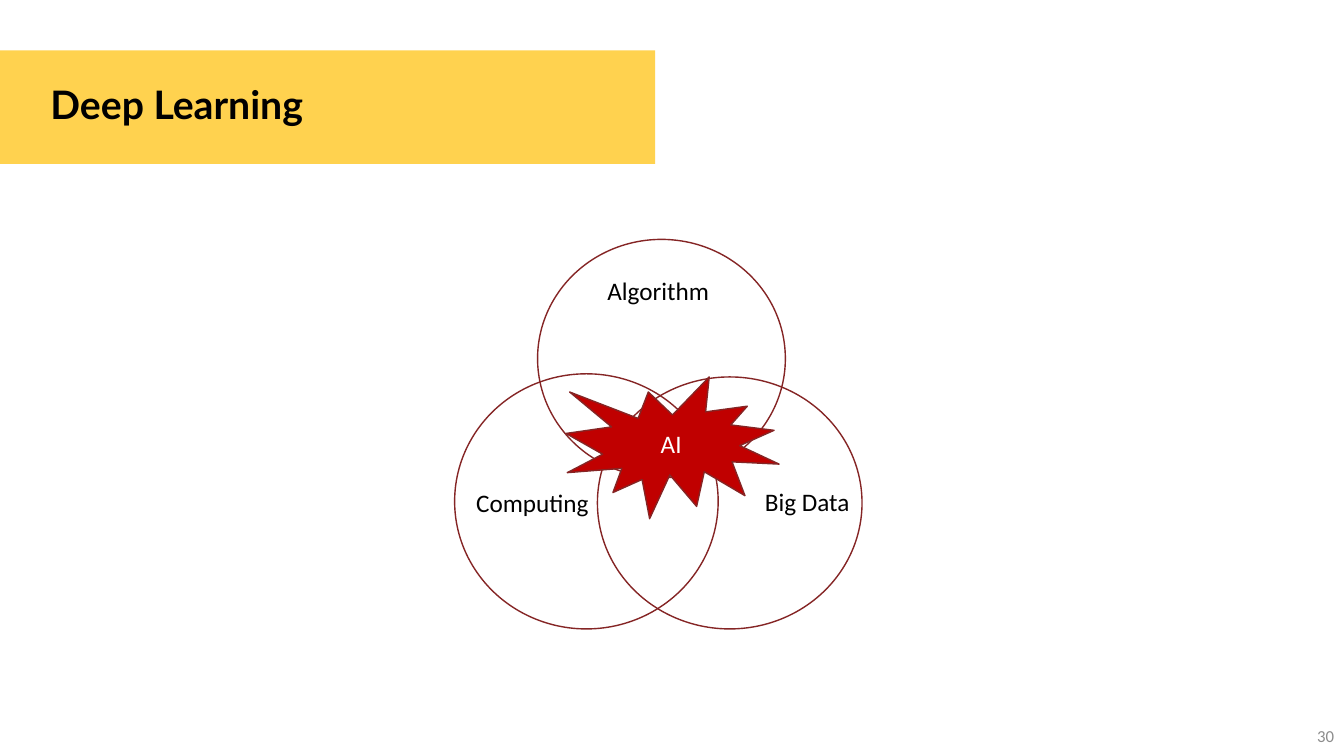
import dataclasses

import pptx
import pptx.dml.color
import pptx.enum.shapes
import pptx.enum.text
import pptx.util

EMU_PER_PX = 9525
TITLE_ONLY = 5
COLORS = {
    "banner": "FFD24F",
    "outline": "852525",
    "burst": "C00000",
    "text": "000000",
    "burst_text": "FFFFFF",
    "page_number": "8C8C8C",
}
ALIGN = pptx.enum.text.PP_ALIGN
ANCHOR = pptx.enum.text.MSO_ANCHOR
SHAPE = pptx.enum.shapes.MSO_SHAPE


@dataclasses.dataclass(frozen=True)
class Area:
    left: int
    top: int
    width: int
    height: int

    def emu(self) -> list[int]:
        return [px * EMU_PER_PX for px in dataclasses.astuple(self)]


@dataclasses.dataclass(frozen=True)
class Circle:
    label: str
    area: Area
    label_area: Area


CIRCLES = [
    Circle("Algorithm", Area(512, 228, 236, 227), Area(569, 257, 136, 38)),
    Circle("Computing", Area(433, 356, 251, 243), Area(444, 459, 136, 38)),
    Circle("Big Data", Area(569, 359, 252, 240), Area(719, 458, 136, 38)),
]


def rgb(name: str) -> pptx.dml.color.RGBColor:
    return pptx.dml.color.RGBColor.from_string(COLORS[name])


def write(box, text: str, size: int, color: str, align=ALIGN.LEFT,
          anchor=ANCHOR.MIDDLE, font: str = "Calibri", bold: bool = False):
    """Put one formatted run in the box and return its paragraph."""
    frame = box.text_frame
    frame.word_wrap = True
    frame.auto_size = pptx.enum.text.MSO_AUTO_SIZE.NONE
    frame.vertical_anchor = anchor
    para = frame.paragraphs[0]
    para.alignment = align
    span = para.add_run()
    span.text = text
    span.font.name = font
    span.font.size = pptx.util.Pt(size)
    span.font.bold = bold
    span.font.color.rgb = rgb(color)
    return para


def add_outlined(shapes, kind: SHAPE, area: Area, fill: str | None = None):
    shape = shapes.add_shape(kind, *area.emu())
    shape.shadow.inherit = False
    shape.line.color.rgb = rgb("outline")
    shape.line.width = pptx.util.Pt(1)
    if fill:
        shape.fill.solid()
        shape.fill.fore_color.rgb = rgb(fill)
    else:
        shape.fill.background()
    return shape


def format_title(title) -> None:
    title.left, title.top, title.width, title.height = Area(0, 48, 624, 108).emu()
    title.fill.solid()
    title.fill.fore_color.rgb = rgb("banner")
    title.text_frame.margin_left = 48 * EMU_PER_PX
    para = write(title, "Deep Learning", 28, "text", font="Lato", bold=True)
    para.line_spacing = 0.9


def add_circle(shapes, circle: Circle) -> None:
    group = shapes.add_group_shape()
    add_outlined(group.shapes, SHAPE.OVAL, circle.area)
    label = group.shapes.add_textbox(*circle.label_area.emu())
    write(label, circle.label, 18, "text", anchor=ANCHOR.TOP)


def main() -> None:
    deck = pptx.Presentation()
    deck.slide_width = 1280 * EMU_PER_PX
    deck.slide_height = 720 * EMU_PER_PX
    page = deck.slides.add_slide(deck.slide_layouts[TITLE_ONLY])

    format_title(page.shapes.title)
    page_number = page.shapes.add_textbox(*Area(992, 682, 288, 38).emu())
    write(page_number, "30", 12, "page_number", align=ALIGN.RIGHT)

    for circle in CIRCLES:
        add_circle(page.shapes, circle)
    burst = add_outlined(page.shapes, SHAPE.EXPLOSION1, Area(539, 359, 203, 135), "burst")
    write(burst, "AI", 18, "burst_text", align=ALIGN.CENTER)

    deck.save("out.pptx")


if __name__ == "__main__":
    main()
